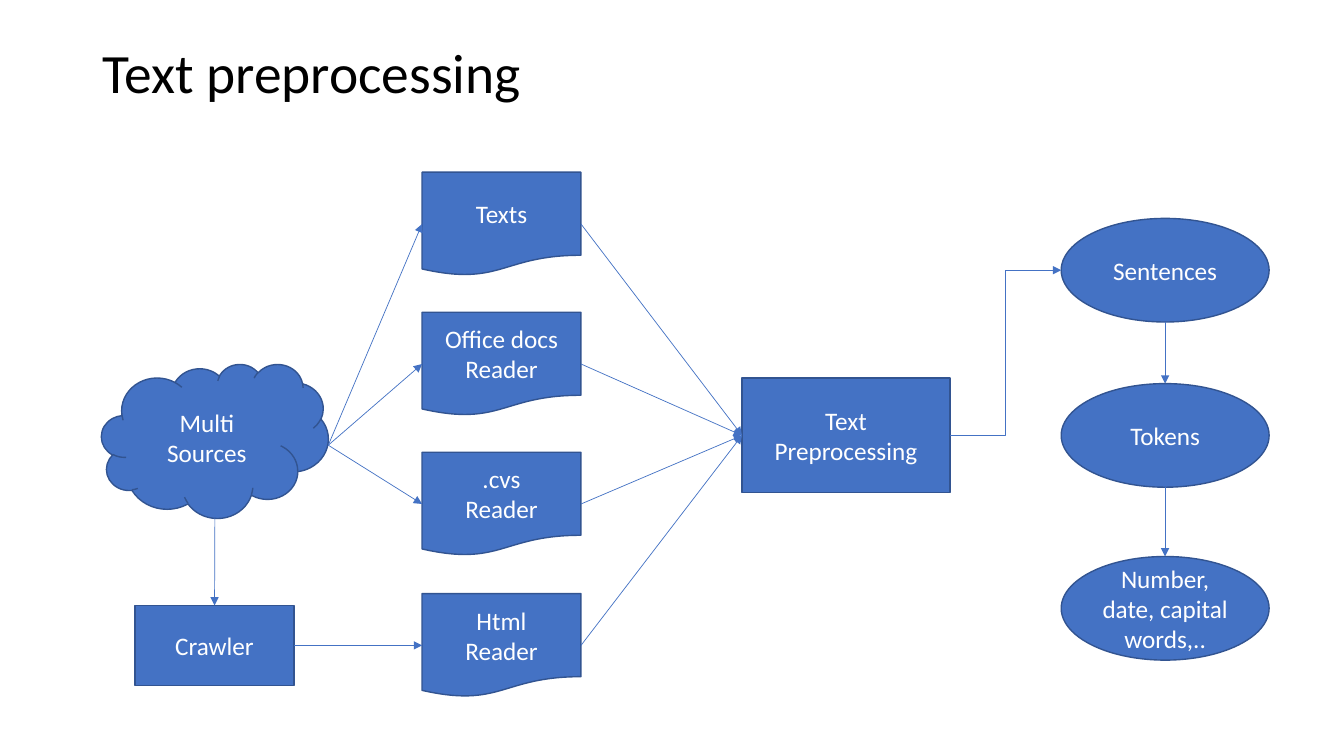
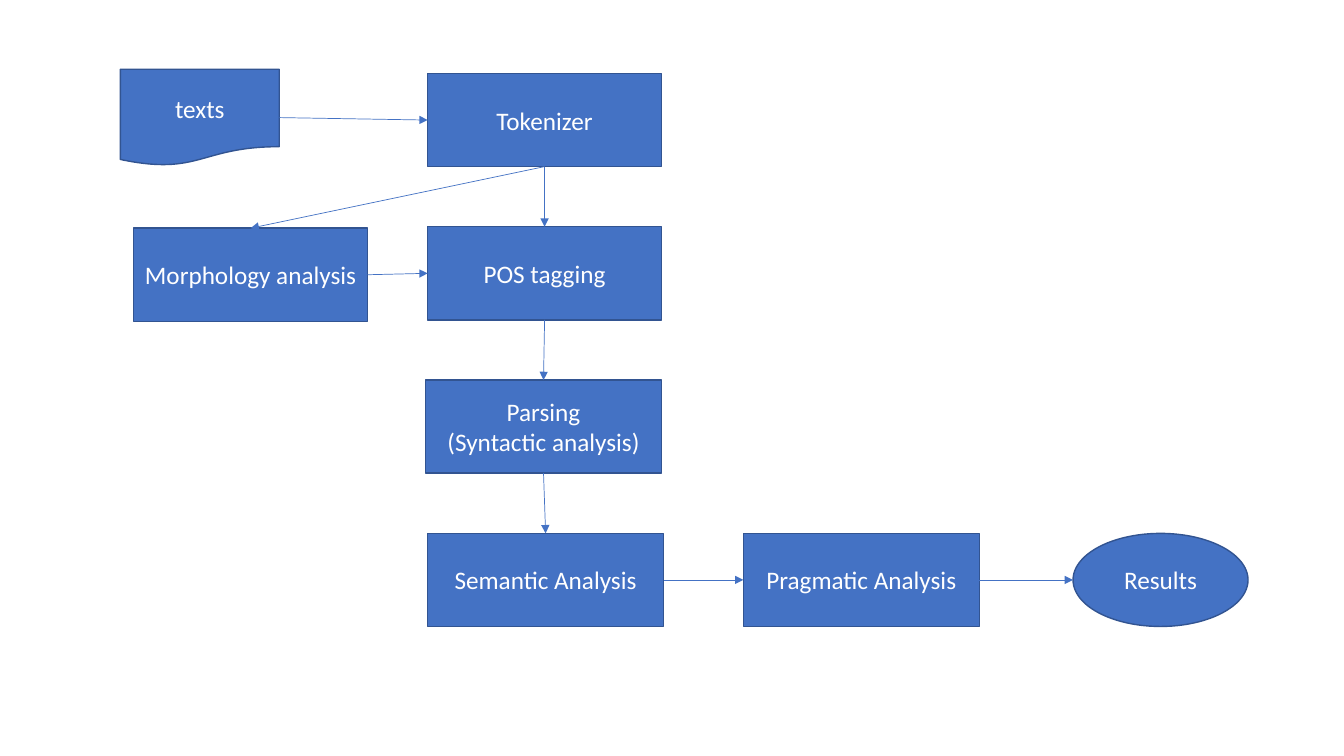
"""Build two flow charts on text preprocessing and language analysis."""
from dataclasses import dataclass
from enum import IntEnum

from pptx import Presentation
from pptx.dml.color import RGBColor
from pptx.enum.shapes import MSO_CONNECTOR as Wire, MSO_SHAPE as Kind
from pptx.enum.text import MSO_ANCHOR as Anchor, MSO_AUTO_SIZE as Fit, PP_ALIGN as Align
from pptx.oxml.ns import qn
from pptx.oxml.xmlchemy import OxmlElement as Tag
from pptx.shapes.autoshape import Shape
from pptx.slide import Slide
from pptx.text.text import TextFrame
from pptx.util import Pt

BLUE = RGBColor(0x44, 0x72, 0xC4)
NAVY = RGBColor(0x32, 0x54, 0x91)
WHITE = RGBColor(0xFF, 0xFF, 0xFF)
BLACK = RGBColor(0x00, 0x00, 0x00)
FONT = "Calibri"
DOC, RECT, OVAL = Kind.FLOWCHART_DOCUMENT, Kind.RECTANGLE, Kind.OVAL


class Side(IntEnum):
    TOP = 0
    LEFT = 1
    BOTTOM = 2
    RIGHT = 3


@dataclass(frozen=True)
class Box:
    key: str
    text: str
    kind: Kind
    x: float
    y: float
    w: float
    h: float

    def point(self, side: Side) -> tuple[float, float]:
        """Return the middle of one side."""
        across = {Side.LEFT: 0, Side.RIGHT: 1}.get(side, 0.5)
        down = {Side.TOP: 0, Side.BOTTOM: 1}.get(side, 0.5)
        return self.x + self.w * across, self.y + self.h * down


@dataclass(frozen=True)
class Link:
    start: str
    end: str
    out: Side = Side.RIGHT
    into: Side = Side.LEFT
    wire: Wire = Wire.STRAIGHT
    drop: float = 0


def style(frame: TextFrame, size: float, color: RGBColor, align: Align) -> None:
    """Format all text of a frame."""
    frame.word_wrap = True
    frame.vertical_anchor = Anchor.MIDDLE
    for para in frame.paragraphs:
        para.alignment = align
        for run in para.runs:
            run.font.name = FONT
            run.font.size = Pt(size)
            run.font.color.rgb = color


def add_box(slide: Slide, box: Box) -> Shape:
    """Draw one labelled shape."""
    shape = slide.shapes.add_shape(box.kind, Pt(box.x), Pt(box.y), Pt(box.w), Pt(box.h))
    shape.shadow.inherit = False
    shape.fill.solid()
    shape.fill.fore_color.rgb = BLUE
    shape.line.color.rgb = NAVY
    shape.line.width = Pt(1)
    shape.text_frame.text = box.text
    style(shape.text_frame, 18, WHITE, Align.CENTER)
    return shape


def add_link(slide: Slide, link: Link, boxes: dict[str, Box], shapes: dict[str, Shape]) -> None:
    """Draw one arrow, joined to boxes with four straight sides."""
    first, last = boxes[link.start], boxes[link.end]
    x1, y1 = first.point(link.out)
    x2, y2 = last.point(link.into)
    arrow = slide.shapes.add_connector(link.wire, Pt(x1), Pt(y1 + link.drop), Pt(x2), Pt(y2))
    if link.wire == Wire.STRAIGHT:
        if first.kind in (RECT, DOC):
            arrow.begin_connect(shapes[link.start], link.out)
        if last.kind in (RECT, DOC):
            arrow.end_connect(shapes[link.end], link.into)
    arrow.line.color.rgb = BLUE
    arrow.line.width = Pt(0.5)
    props = arrow.element.spPr
    head = Tag("a:tailEnd")
    head.set("type", "triangle")
    props.find(qn("a:ln")).append(head)
    props.append(Tag("a:effectLst"))


def add_flow(slide: Slide, boxes: list[Box], links: list[Link]) -> None:
    """Draw the boxes of a chart and then its arrows."""
    by_key = {box.key: box for box in boxes}
    shapes = {box.key: add_box(slide, box) for box in boxes}
    for link in links:
        add_link(slide, link, by_key, shapes)


def add_title(slide: Slide, text: str) -> None:
    """Place and format the title."""
    title = slide.shapes.title
    title.left, title.top, title.width, title.height = Pt(66), Pt(29), Pt(828), Pt(50)
    frame = title.text_frame
    frame.text = text
    frame.auto_size = Fit.NONE
    frame.paragraphs[0].line_spacing = 0.9
    style(frame, 39.6, BLACK, Align.LEFT)


def add_prep(slide: Slide) -> None:
    """Draw the preprocessing chart."""
    add_title(slide, "Text preprocessing")
    docs = [("text", "Texts", 123), ("office", "Office docs\nReader", 223),
            ("cvs", ".cvs\nReader", 323), ("html", "Html\nReader", 424)]
    outs = [("sent", "Sentences", 156), ("token", "Tokens", 274),
            ("number", "Number, date, capital words,..", 397.5)]
    boxes = [Box(key, text, DOC, 301.5, y, 113.5, 74) for key, text, y in docs]
    boxes += [Box(key, text, OVAL, 758, y, 148.5, 74) for key, text, y in outs]
    boxes += [Box("prep", "Text\nPreprocessing", RECT, 530, 270, 148.5, 82),
              Box("cloud", "Multi Sources", Kind.CLOUD, 72.5, 260, 162, 110),
              Box("crawl", "Crawler", RECT, 96.5, 432.5, 113.5, 57)]
    links = [Link("cloud", key, drop=3) for key, _, _ in docs[:3]]
    links += [Link(key, "prep") for key, _, _ in docs]
    links += [Link("cloud", "crawl", Side.BOTTOM, Side.TOP),
              Link("crawl", "html"),
              Link("prep", "sent", wire=Wire.ELBOW)]
    links += [Link(a[0], b[0], Side.BOTTOM, Side.TOP) for a, b in zip(outs, outs[1:])]
    add_flow(slide, boxes, links)


def add_steps(slide: Slide) -> None:
    """Draw the analysis chart."""
    top, step, high = 52.5, 109.5, 66.5
    base = top + 3 * step
    steps = [("token", "Tokenizer", 305.5, 167), ("tag", "POS tagging", 305.5, 167),
             ("parse", "Parsing\n(Syntactic analysis)", 304, 168.5),
             ("sense", "Semantic Analysis", 305.5, 168.5)]
    boxes = [Box(key, text, RECT, x, top + row * step, w, high)
             for row, (key, text, x, w) in enumerate(steps)]
    boxes += [Box("text", "texts", DOC, 86, 49.5, 113.5, 69),
              Box("morph", "Morphology analysis", RECT, 95.5, 163, 167, high),
              Box("use", "Pragmatic Analysis", RECT, 531, base, 168.5, high),
              Box("end", "Results", OVAL, 766.5, base, 125, high)]
    links = [Link(a[0], b[0], Side.BOTTOM, Side.TOP) for a, b in zip(steps, steps[1:])]
    links += [Link("token", "morph", Side.BOTTOM, Side.TOP), Link("text", "token"),
              Link("morph", "tag"), Link("sense", "use"), Link("use", "end")]
    add_flow(slide, boxes, links)


def main() -> None:
    """Build and save the slides."""
    deck = Presentation()
    deck.slide_width, deck.slide_height = Pt(960), Pt(540)
    add_prep(deck.slides.add_slide(deck.slide_layouts.get_by_name("Title Only")))
    add_steps(deck.slides.add_slide(deck.slide_layouts.get_by_name("Blank")))
    deck.save("out.pptx")


if __name__ == "__main__":
    main()
